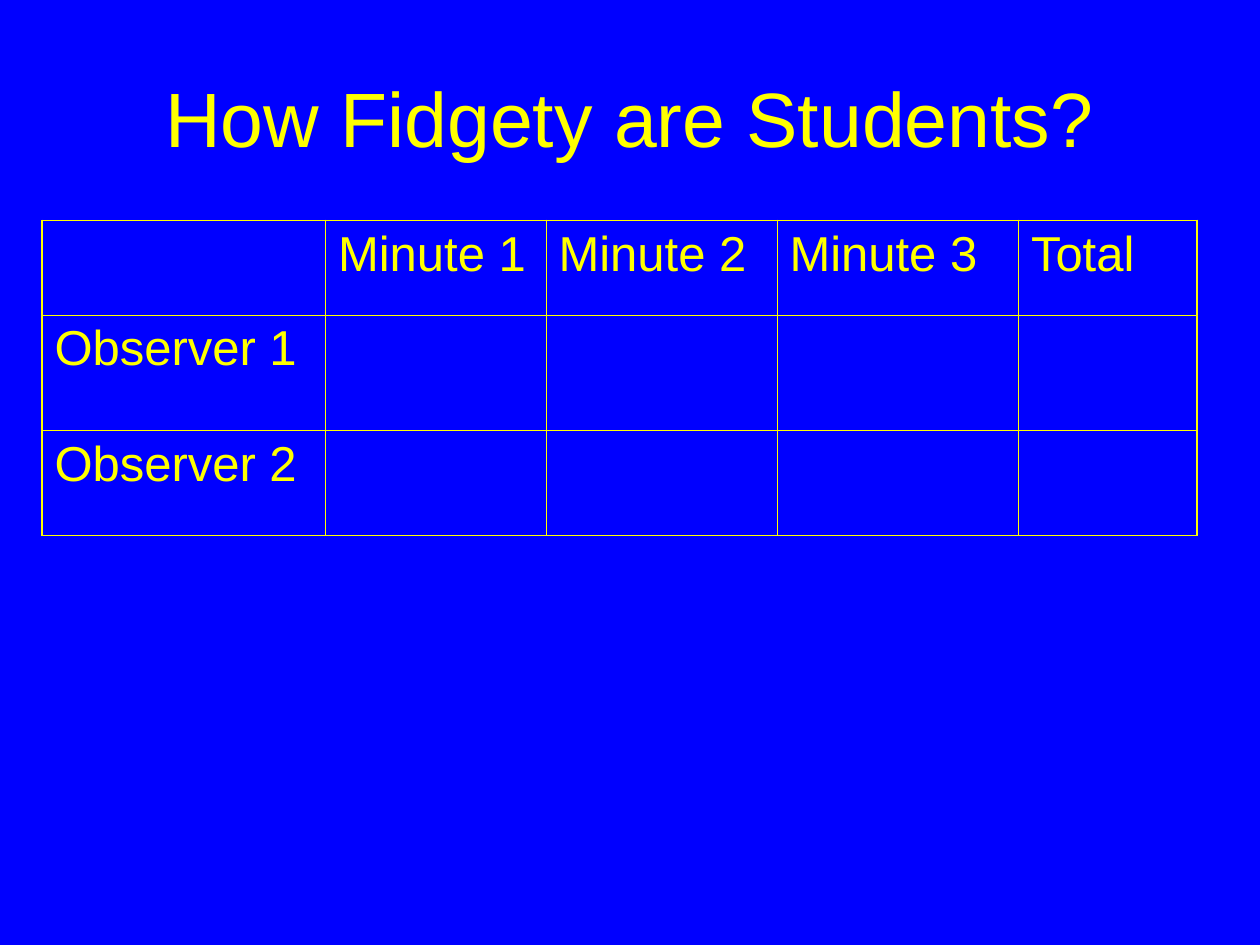
from dataclasses import dataclass

from lxml import etree
from pptx import Presentation
from pptx.dml.color import RGBColor
from pptx.enum import text
from pptx.oxml import ns
from pptx.util import Pt

PX = 7620  # EMU per px, 120 px to the inch


@dataclass(frozen=True)
class Theme:
    back: str = "0000FF"
    ink: str = "FFFF00"
    face: str = "Arial"
    head: int = 44
    body: int = 28
    thin: float = 0.45
    thick: float = 1.08


THEME = Theme()


def write(frame, words, size, align):
    """Put one styled paragraph in a text frame."""
    para = frame.paragraphs[0]
    para.text = words
    para.alignment = align
    for key, val in {"name": THEME.face, "size": Pt(size)}.items():
        setattr(para.font, key, val)
    para.font.color.rgb = RGBColor.from_string(THEME.ink)


def edge(cell, widths):
    """Draw cell borders; widths maps each side to its points."""
    props = cell._tc.get_or_add_tcPr()
    for spot, (side, width) in enumerate(widths.items()):
        line = etree.Element(ns.qn(f"a:ln{side}"), w=str(Pt(width)))
        fill = etree.SubElement(line, ns.qn("a:solidFill"))
        etree.SubElement(fill, ns.qn("a:srgbClr"), val=THEME.ink)
        props.insert(spot, line)


def title(slide, box, words):
    shape = slide.shapes.add_textbox(*(n * PX for n in box))
    frame = shape.text_frame
    style = {"word_wrap": True, "vertical_anchor": text.MSO_ANCHOR.MIDDLE}
    for key, val in style.items():
        setattr(frame, key, val)
    write(frame, words, THEME.head, text.PP_ALIGN.CENTER)


def grid(slide, spot, cols, rows, data):
    box = (*spot, sum(cols), sum(rows))
    shape = slide.shapes.add_table(len(rows), len(cols), *(n * PX for n in box))
    table = shape.table
    for key in ("first_row", "horz_banding"):
        setattr(table, key, False)

    # Column widths and row heights
    for col, wide in zip(table.columns, cols):
        col.width = wide * PX
    for row, tall in zip(table.rows, rows):
        row.height = tall * PX

    # Cells, with a thicker line round the outside
    for r, line in enumerate(data):
        for c, words in enumerate(line):
            cell = table.cell(r, c)
            cell.fill.background()
            outer = {"L": c == 0, "R": c == len(cols) - 1,
                     "T": r == 0, "B": r == len(rows) - 1}
            edge(cell, {side: THEME.thick if out else THEME.thin
                        for side, out in outer.items()})
            if words:
                write(cell.text_frame, words, THEME.body, text.PP_ALIGN.LEFT)


def main():
    deck = Presentation()
    deck.slide_width, deck.slide_height = 1200 * PX, 900 * PX
    slide = deck.slides.add_slide(deck.slide_layouts[6])

    # Background
    fill = slide.background.fill
    fill.solid()
    fill.fore_color.rgb = RGBColor.from_string(THEME.back)

    # Heading and tally sheet
    title(slide, (60, 36, 1080, 150), "How Fidgety are Students?")
    cols = (270, 210, 220, 230, 170)
    heads = ["", "Minute 1", "Minute 2", "Minute 3", "Total"]
    blank = [""] * (len(cols) - 1)
    data = [heads] + [[f"Observer {n}"] + blank for n in (1, 2)]
    grid(slide, (40, 210), cols, (90, 110, 100), data)

    deck.save("out.pptx")


if __name__ == "__main__":
    main()
